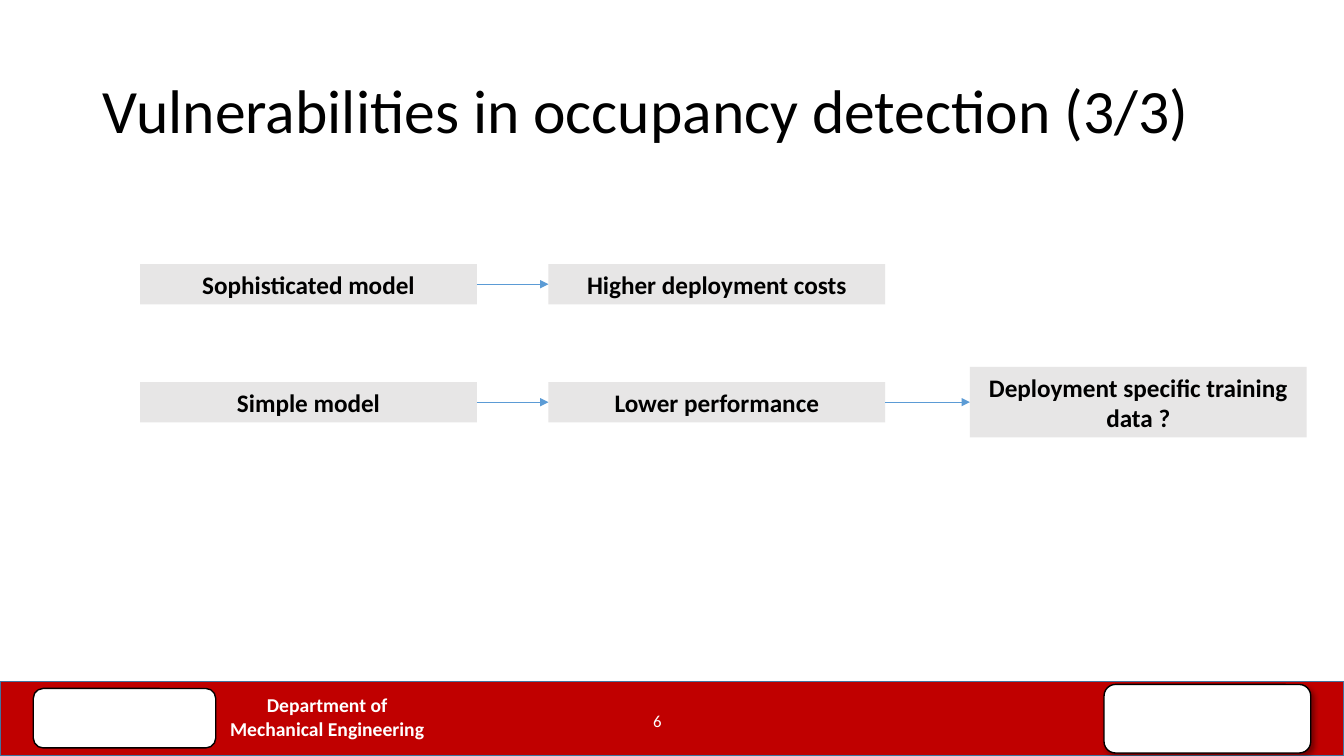
from typing import NamedTuple, Optional

from lxml.etree import SubElement
from pptx import Presentation
from pptx.dml.color import RGBColor
from pptx.enum.shapes import MSO_CONNECTOR, MSO_SHAPE
from pptx.enum.text import MSO_ANCHOR, MSO_AUTO_SIZE, PP_ALIGN
from pptx.oxml.ns import qn
from pptx.shapes.autoshape import Shape
from pptx.text.text import TextFrame
from pptx.util import Emu, Pt

EMU_PER_PX = 9144  # 100 px to the inch
FONT = "Calibri"
BLACK, WHITE, RED = "000000", "FFFFFF", "C00000"
GREY, BLUE, DARK_BLUE = "E7E6E6", "5B9BD5", "43739E"


class Area(NamedTuple):
    left: int
    top: int
    width: int
    height: int


class Step(NamedTuple):
    text: str
    area: Area


def px(length: int) -> Emu:
    return Emu(length * EMU_PER_PX)


def emu(area: Area) -> list[Emu]:
    return [px(length) for length in area]


def rgb(colour: str) -> RGBColor:
    return RGBColor.from_string(colour)


def write(frame: TextFrame, text: str, size: int, colour: str, bold: bool = False,
          align: PP_ALIGN = PP_ALIGN.CENTER, anchor: MSO_ANCHOR = MSO_ANCHOR.TOP,
          spacing: Optional[float] = None) -> None:
    frame.text = text
    frame.word_wrap = True
    frame.auto_size = MSO_AUTO_SIZE.NONE
    frame.vertical_anchor = anchor
    for paragraph in frame.paragraphs:
        paragraph.alignment = align
        paragraph.line_spacing = spacing
        for run in paragraph.runs:
            run.font.name, run.font.size, run.font.bold = FONT, Pt(size), bold
            run.font.color.rgb = rgb(colour)


def add_panel(area: Area, fill: str, line: Optional[str] = None,
              kind: MSO_SHAPE = MSO_SHAPE.RECTANGLE) -> Shape:
    panel = slide.shapes.add_shape(kind, *emu(area))
    panel.shadow.inherit = False
    panel.fill.solid()
    panel.fill.fore_color.rgb = rgb(fill)
    if line:
        panel.line.color.rgb = rgb(line)
        panel.line.width = Pt(1)
    else:
        panel.line.fill.background()
    return panel


def add_shadow(panel: Shape) -> None:
    effects = panel._element.spPr.find(qn("a:effectLst"))
    shadow = SubElement(effects, qn("a:outerShdw"), blurRad=str(Pt(4)),
                        dist=str(Pt(3)), dir="2700000", algn="tl", rotWithShape="0")
    shade = SubElement(shadow, qn("a:srgbClr"), val=BLACK)
    SubElement(shade, qn("a:alpha"), val="40000")


def add_label(area: Area, text: str, size: int, bold: bool, anchor: MSO_ANCHOR) -> None:
    label = slide.shapes.add_textbox(*emu(area))
    write(label.text_frame, text, size, WHITE, bold, anchor=anchor)


def add_step(step: Step) -> Shape:
    box = add_panel(step.area, GREY)
    write(box.text_frame, step.text, 18, BLACK, bold=True)
    return box


def add_arrow(cause: Shape, effect: Shape) -> None:
    arrow = slide.shapes.add_connector(MSO_CONNECTOR.STRAIGHT, 0, 0, 0, 0)
    arrow.begin_connect(cause, 3)
    arrow.end_connect(effect, 1)
    arrow.line.color.rgb = rgb(BLUE)
    arrow.line.width = Pt(0.5)
    SubElement(arrow.line._get_or_add_ln(), qn("a:tailEnd"), type="triangle")
    SubElement(arrow._element.spPr, qn("a:effectLst"))


presentation = Presentation()
presentation.slide_width, presentation.slide_height = px(1333), px(750)
slide = presentation.slides.add_slide(presentation.slide_layouts[5])

# Title
title = slide.shapes.title
title.left, title.top, title.width, title.height = emu(Area(92, 40, 1150, 145))
write(title.text_frame, "Vulnerabilities in occupancy detection (3/3)", 44, BLACK,
      align=PP_ALIGN.LEFT, anchor=MSO_ANCHOR.MIDDLE, spacing=0.9)

# Footer band with two blank emblem plates, department and slide number
add_panel(Area(0, 676, 1333, 74), RED, DARK_BLUE)
add_panel(Area(33, 683, 181, 59), WHITE, BLACK, MSO_SHAPE.ROUNDED_RECTANGLE)
right_plate = add_panel(Area(1095, 679, 205, 68), WHITE, BLACK,
                        MSO_SHAPE.ROUNDED_RECTANGLE)
add_shadow(right_plate)
add_label(Area(187, 683, 275, 57), "Department of\nMechanical Engineering", 14, True,
          MSO_ANCHOR.TOP)
add_label(Area(502, 695, 300, 40), "6", 12, False, MSO_ANCHOR.MIDDLE)

# Chains of consequences, one per kind of model
MODEL_LEFT, EFFECT_LEFT, QUESTION_LEFT = 139, 544, 962
STEP_WIDTH, STEP_HEIGHT = 334, 40
SOPHISTICATED_TOP, SIMPLE_TOP = 262, 379
chains = [
    [
        Step("Sophisticated model",
             Area(MODEL_LEFT, SOPHISTICATED_TOP, STEP_WIDTH, STEP_HEIGHT)),
        Step("Higher deployment costs",
             Area(EFFECT_LEFT, SOPHISTICATED_TOP, STEP_WIDTH, STEP_HEIGHT)),
    ],
    [
        Step("Simple model", Area(MODEL_LEFT, SIMPLE_TOP, STEP_WIDTH, STEP_HEIGHT)),
        Step("Lower performance",
             Area(EFFECT_LEFT, SIMPLE_TOP, STEP_WIDTH, STEP_HEIGHT)),
        Step("Deployment specific training data ?",
             Area(QUESTION_LEFT, SIMPLE_TOP - 15, STEP_WIDTH, STEP_HEIGHT + 30)),
    ],
]
for chain in chains:
    boxes = [add_step(step) for step in chain]
    for cause, effect in zip(boxes, boxes[1:]):
        add_arrow(cause, effect)

presentation.save("out.pptx")
